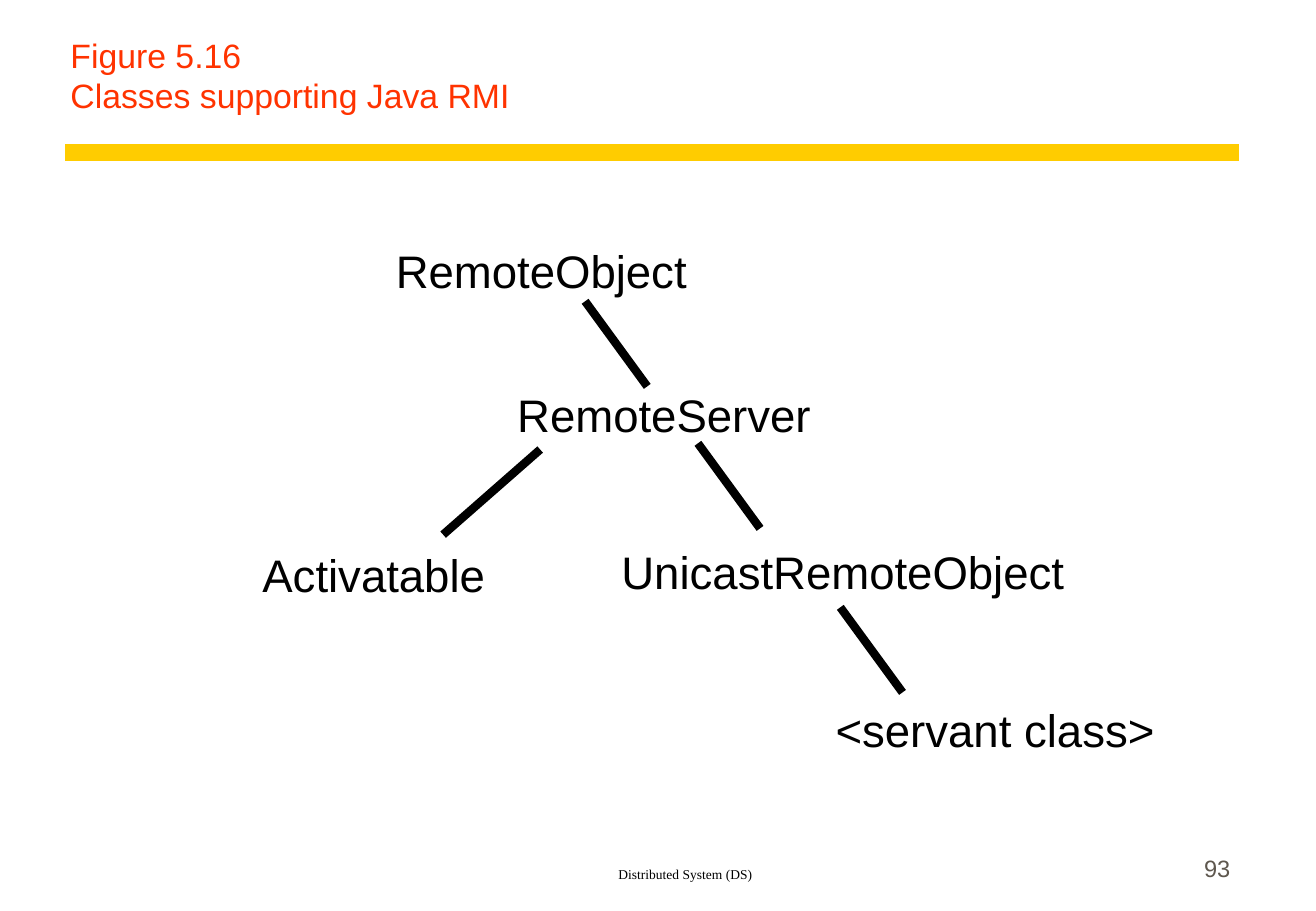
from pptx import Presentation
from pptx.dml.color import RGBColor
from pptx.enum.shapes import MSO_CONNECTOR as Connector
from pptx.enum.text import MSO_ANCHOR as Anchor, MSO_AUTO_SIZE as AutoSize, PP_ALIGN as Align
from pptx.oxml.ns import qn
from pptx.util import Cm, Pt
from lxml import etree


def style(paragraph, font_name, size, color, align=Align.LEFT):
    paragraph.alignment = align
    paragraph.font.name = font_name
    paragraph.font.size = Pt(size)
    paragraph.font.color.rgb = RGBColor.from_string(color)


def add_line(shapes, start, end, color, width):
    line = shapes.add_connector(Connector.STRAIGHT, *map(Cm, start + end))
    line.line.color.rgb = RGBColor.from_string(color)
    line.line.width = Pt(width)
    etree.SubElement(line._element.spPr, qn("a:effectLst"))


prs = Presentation()
prs.slide_width, prs.slide_height = Cm(27.53), Cm(19.05)
slide = prs.slides.add_slide(prs.slide_layouts[5])

# Rule under the title
add_line(slide.shapes, (1.37, 3.18), (25.91, 3.18), "FFCC00", 10)

# Title
title = slide.shapes.title
title.left, title.top, title.width, title.height = Cm(1.22), Cm(0.64), Cm(24.69), Cm(1.9)
heading = title.text_frame
heading.text = "Figure 5.16\vClasses supporting Java RMI"
heading.auto_size = AutoSize.NONE
heading.vertical_anchor = Anchor.BOTTOM
style(heading.paragraphs[0], "Arial", 20, "FF3300")

# Class names: text, left, top, width
class_names = [
    ("RemoteObject", 8.28, 5.08, 6.35),
    ("RemoteServer", 10.82, 8.1, 6.15),
    ("Activatable", 5.49, 11.43, 4.67),
    ("UnicastRemoteObject", 13, 11.38, 9.27),
    ("<servant class>", 17.48, 14.68, 6.68),
]
hierarchy = slide.shapes.add_group_shape()
for name, left, top, width in class_names:
    label = hierarchy.shapes.add_textbox(Cm(left), Cm(top), Cm(width), Cm(1.14)).text_frame
    label.margin_left = label.margin_right = label.margin_top = label.margin_bottom = 0
    label.word_wrap = False
    label.auto_size = AutoSize.SHAPE_TO_FIT_TEXT
    label.text = name
    style(label.paragraphs[0], "Arial", 27, "000000")

# Inheritance lines: three parallel ones to the right, one to the left
for x, y in [(12.24, 6.3), (14.6, 9.27), (17.58, 12.7)]:
    add_line(hierarchy.shapes, (x, y), (x + 1.3, y + 1.78), "000000", 5)
add_line(hierarchy.shapes, (11.3, 9.4), (9.27, 11.18), "000000", 5)

# Footer and page number
footers = [
    ("Distributed System (DS)", 5.97, 16.74, "Times New Roman", 8, "000000", Align.CENTER),
    ("93", 22.94, 3.05, "Arial", 14, "5E574E", Align.RIGHT),
]
for text, left, width, font_name, size, color, align in footers:
    footer = slide.shapes.add_textbox(Cm(left), Cm(17.78), Cm(width), Cm(0.79)).text_frame
    footer.word_wrap = True
    footer.vertical_anchor = Anchor.BOTTOM
    footer.text = text
    style(footer.paragraphs[0], font_name, size, color, align)

prs.save("out.pptx")
